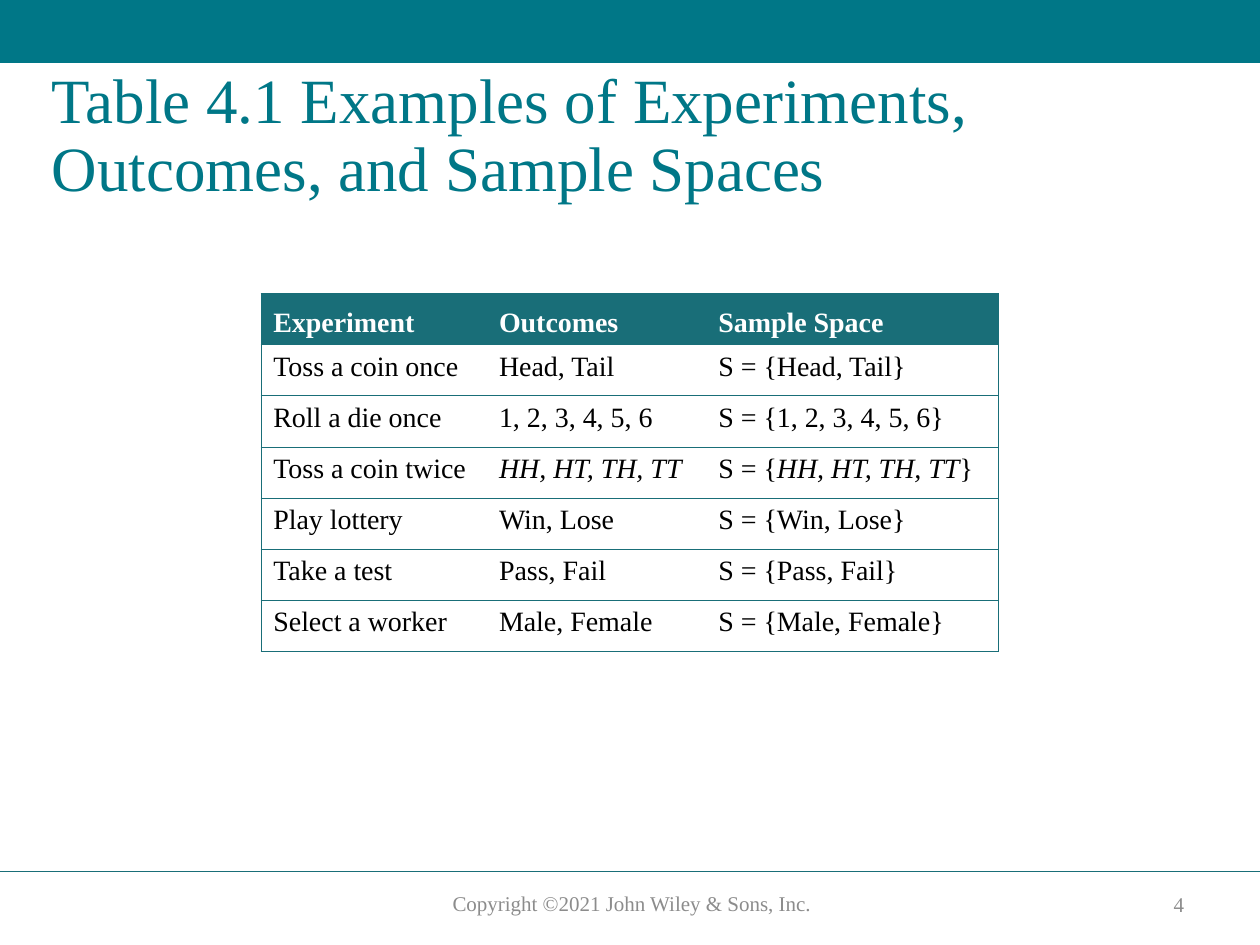
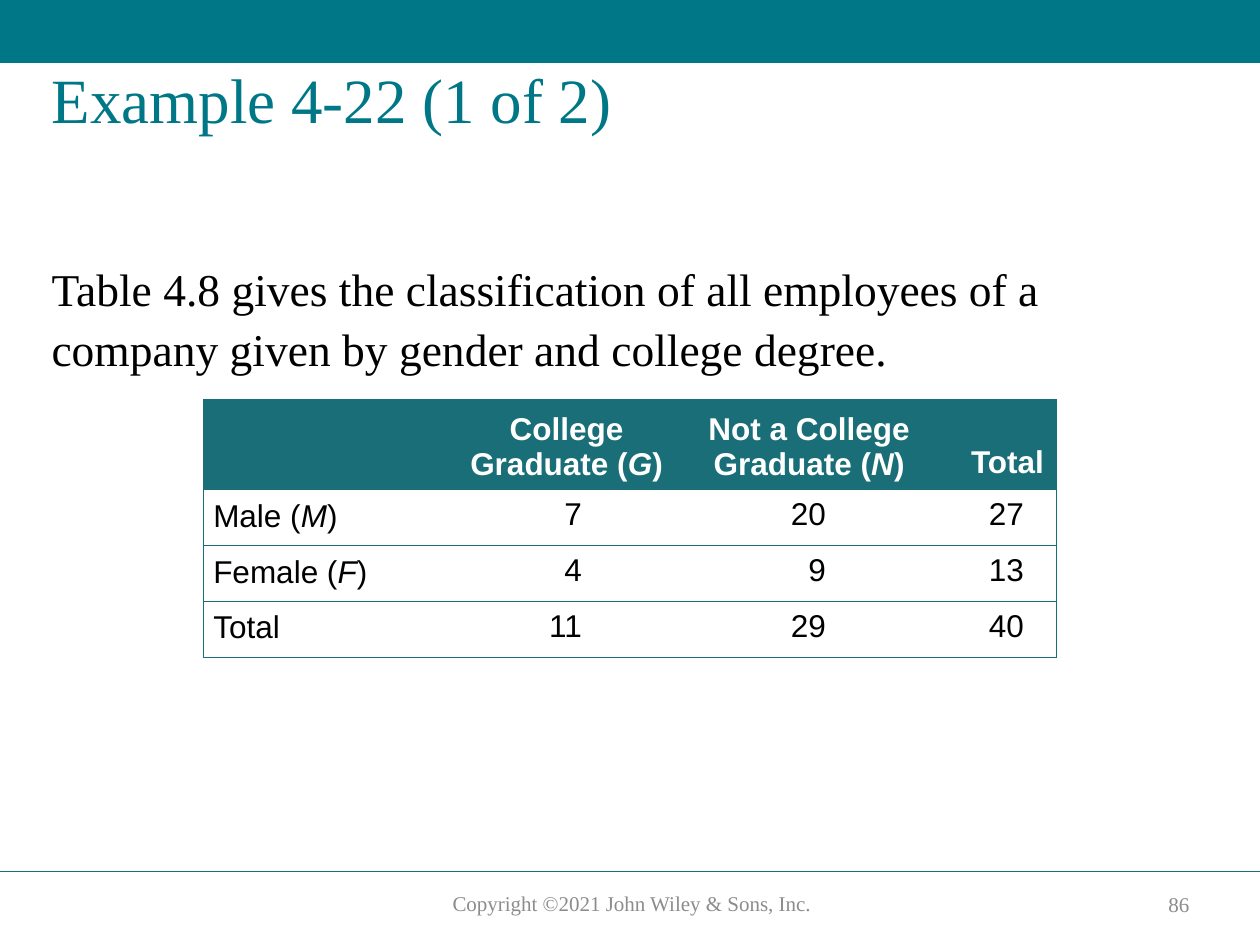
"""Build two statistics slides, each with a title, a ruled table and a footer."""
from dataclasses import dataclass

from lxml import etree
from pptx import Presentation
from pptx.dml.color import RGBColor
from pptx.enum.shapes import MSO_CONNECTOR, MSO_SHAPE
from pptx.enum.text import MSO_ANCHOR, PP_ALIGN
from pptx.oxml.ns import qn
from pptx.util import Cm, Pt

TEAL = RGBColor(0x00, 0x77, 0x87)
DARK_TEAL = RGBColor(0x19, 0x6E, 0x78)
GREY = RGBColor(0x8C, 0x8C, 0x8C)
BLACK = RGBColor(0x00, 0x00, 0x00)
WHITE = RGBColor(0xFF, 0xFF, 0xFF)

SERIF = "Times New Roman"
SANS = "Arial"
LEFT, CENTER, RIGHT = PP_ALIGN.LEFT, PP_ALIGN.CENTER, PP_ALIGN.RIGHT
TOP, MIDDLE, BOTTOM = MSO_ANCHOR.TOP, MSO_ANCHOR.MIDDLE, MSO_ANCHOR.BOTTOM
RECTANGLE = MSO_SHAPE.RECTANGLE
STRAIGHT = MSO_CONNECTOR.STRAIGHT

PAGE_WIDTH, PAGE_HEIGHT = 25.4, 19.05
TEXT_LEFT, TEXT_WIDTH = 0.79, 23.7
BAND_HEIGHT = 1.27
FOOTER_RULE_TOP = 17.57
COPYRIGHT = "Copyright ©2021 John Wiley & Sons, Inc."

EXPERIMENTS = [
    ["Experiment", "Outcomes", "Sample Space"],
    ["Toss a coin once", "Head, Tail", "S = {Head, Tail}"],
    ["Roll a die once", "1, 2, 3, 4, 5, 6", "S = {1, 2, 3, 4, 5, 6}"],
    ["Toss a coin twice", "*HH, HT, TH, TT*", "S = {*HH, HT, TH, TT*}"],
    ["Play lottery", "Win, Lose", "S = {Win, Lose}"],
    ["Take a test", "Pass, Fail", "S = {Pass, Fail}"],
    ["Select a worker", "Male, Female", "S = {Male, Female}"],
]
EMPLOYEES = [
    ["", "College Graduate (*G*)", "Not a College Graduate (*N*)", "Total"],
    ["Male (*M*)", "7", "20", "27"],
    ["Female (*F*)", "4", "9", "13"],
    ["Total", "11", "29", "40"],
]


@dataclass
class TextStyle:
    """Font, size, colour and weight of a piece of text."""

    font: str
    size: float
    color: RGBColor
    bold: bool = False


TITLE_STYLE = TextStyle(SERIF, 36, TEAL)
BODY_STYLE = TextStyle(SERIF, 26, BLACK)
FOOTER_STYLE = TextStyle(SERIF, 12, GREY)


def write(frame, text, style, align=LEFT, anchor=TOP):
    """Fill a text frame run by run; asterisks enclose italic parts."""
    frame.word_wrap = True
    frame.vertical_anchor = anchor
    para = frame.paragraphs[0]
    para.alignment = align
    for index, part in enumerate(text.split("*")):
        if part:
            span = para.add_run()
            span.text = part
            span.font.name = style.font
            span.font.size = Pt(style.size)
            span.font.color.rgb = style.color
            span.font.bold = style.bold
            span.font.italic = index % 2 == 1
    return para


def add_text(page, place, text, style, align=LEFT, anchor=TOP):
    """Add a wrapping text box at a place given in centimetres."""
    box = page.shapes.add_textbox(*map(Cm, place))
    return write(box.text_frame, text, style, align, anchor)


def add_page(deck, title, number):
    """Add a page with the band, title, footer rule, copyright and number."""
    page = deck.slides.add_slide(deck.slide_layouts[5])
    band = page.shapes.add_shape(RECTANGLE, 0, 0, Cm(PAGE_WIDTH), Cm(BAND_HEIGHT))
    band.shadow.inherit = False
    band.fill.solid()
    band.fill.fore_color.rgb = TEAL
    band.line.fill.background()

    rule = page.shapes.add_connector(
        STRAIGHT, 0, Cm(FOOTER_RULE_TOP), Cm(PAGE_WIDTH), Cm(FOOTER_RULE_TOP))
    rule.line.color.rgb = DARK_TEAL
    rule.line.width = Pt(1)
    etree.SubElement(rule._element.spPr, qn("a:effectLst"))

    heading = page.shapes.title
    heading.left, heading.top = Cm(TEXT_LEFT), Cm(BAND_HEIGHT)
    heading.width, heading.height = Cm(TEXT_WIDTH), Cm(3.18)
    write(heading.text_frame, title, TITLE_STYLE).line_spacing = 0.9

    add_text(page, (8.18, 17.83, 9.12, 0.76), COPYRIGHT, FOOTER_STYLE, CENTER)
    add_text(page, (22.99, 17.88, 1.55, 0.71), str(number), FOOTER_STYLE,
             CENTER, MIDDLE)
    return page


def rule_cell(cell, first, last):
    """Rule a cell above and below, and at the outer sides of the table."""
    properties = cell._tc.get_or_add_tcPr()
    edges = {"a:lnL": first, "a:lnR": last, "a:lnT": True, "a:lnB": True}
    for tag, shown in edges.items():
        edge = etree.SubElement(properties, qn(tag), w=str(Pt(0.5)))
        if shown:
            fill = etree.SubElement(edge, qn("a:solidFill"))
            etree.SubElement(fill, qn("a:srgbClr"), val=str(DARK_TEAL))
        else:
            etree.SubElement(edge, qn("a:noFill"))


def set_margins(cell, side, end, right=None):
    """Set the cell margins in centimetres."""
    cell.margin_left = Cm(side)
    cell.margin_right = Cm(side if right is None else right)
    cell.margin_top = cell.margin_bottom = Cm(end)


def add_ruled_table(page, left, top, widths, heights, rows, font, size):
    """Add a table with a dark header row and return its table object."""
    frame = page.shapes.add_table(
        len(rows), len(widths), Cm(left), Cm(top), Cm(sum(widths)), Cm(sum(heights)))
    table = frame.table
    table.horz_banding = False
    for column, width in zip(table.columns, widths):
        column.width = Cm(width)
    for index, (row, height) in enumerate(zip(table.rows, heights)):
        row.height = Cm(height)
        header = index == 0
        style = TextStyle(font, size, WHITE if header else BLACK, header)
        for position, text in enumerate(rows[index]):
            cell = row.cells[position]
            rule_cell(cell, position == 0, position == len(widths) - 1)
            cell.fill.solid()
            cell.fill.fore_color.rgb = DARK_TEAL if header else WHITE
            cell.vertical_anchor = BOTTOM if header else TOP
            set_margins(cell, 0.25, 0.13)
            para = write_cell(cell, text, style)
            if not header:
                para.space_after = Pt(3)
    return table


def write_cell(cell, text, style):
    """Write a cell and keep the anchor that the cell already has."""
    anchor = cell.vertical_anchor
    para = write(cell.text_frame, text, style)
    cell.vertical_anchor = anchor
    return para


def align_counts(table, header_rights, count_rights):
    """Centre the column heads and line the counts up at their last digit."""
    for index, row in enumerate(table.rows):
        label, *counts = row.cells
        set_margins(label, 0.2, 0.18)
        for cell, head_right, count_right in zip(counts, header_rights, count_rights):
            set_margins(cell, 0.2, 0.15, count_right if index else head_right)
            cell.text_frame.paragraphs[0].alignment = RIGHT if index else CENTER
    table.cell(0, len(header_rights)).margin_bottom = Cm(0.2)


def main():
    """Build and save the deck."""
    deck = Presentation()
    deck.slide_width, deck.slide_height = Cm(PAGE_WIDTH), Cm(PAGE_HEIGHT)

    page = add_page(
        deck, "Table 4.1 Examples of Experiments, Outcomes, and Sample Spaces", 4)
    add_ruled_table(page, 5.26, 5.92, [4.55, 4.42, 5.89],
                    [1.03] * len(EXPERIMENTS), EXPERIMENTS, SERIF, 16)

    page = add_page(deck, "Example 4-22 (1 of 2)", 86)
    intro = add_text(
        page, (TEXT_LEFT, 5.03, TEXT_WIDTH, 2.74),
        "Table 4.8 gives the classification of all employees of a company "
        "given by gender and college degree.", BODY_STYLE)
    intro.line_spacing = 1.1
    table = add_ruled_table(page, 4.1, 8.05, [5.11, 4.42, 5.69, 1.98],
                            [1.73] + [1.06] * 3, EMPLOYEES, SANS, 18)
    align_counts(table, [0.2, 0.53, 0.2], [1.9, 2.67, 0.66])

    deck.save("out.pptx")


if __name__ == "__main__":
    main()
